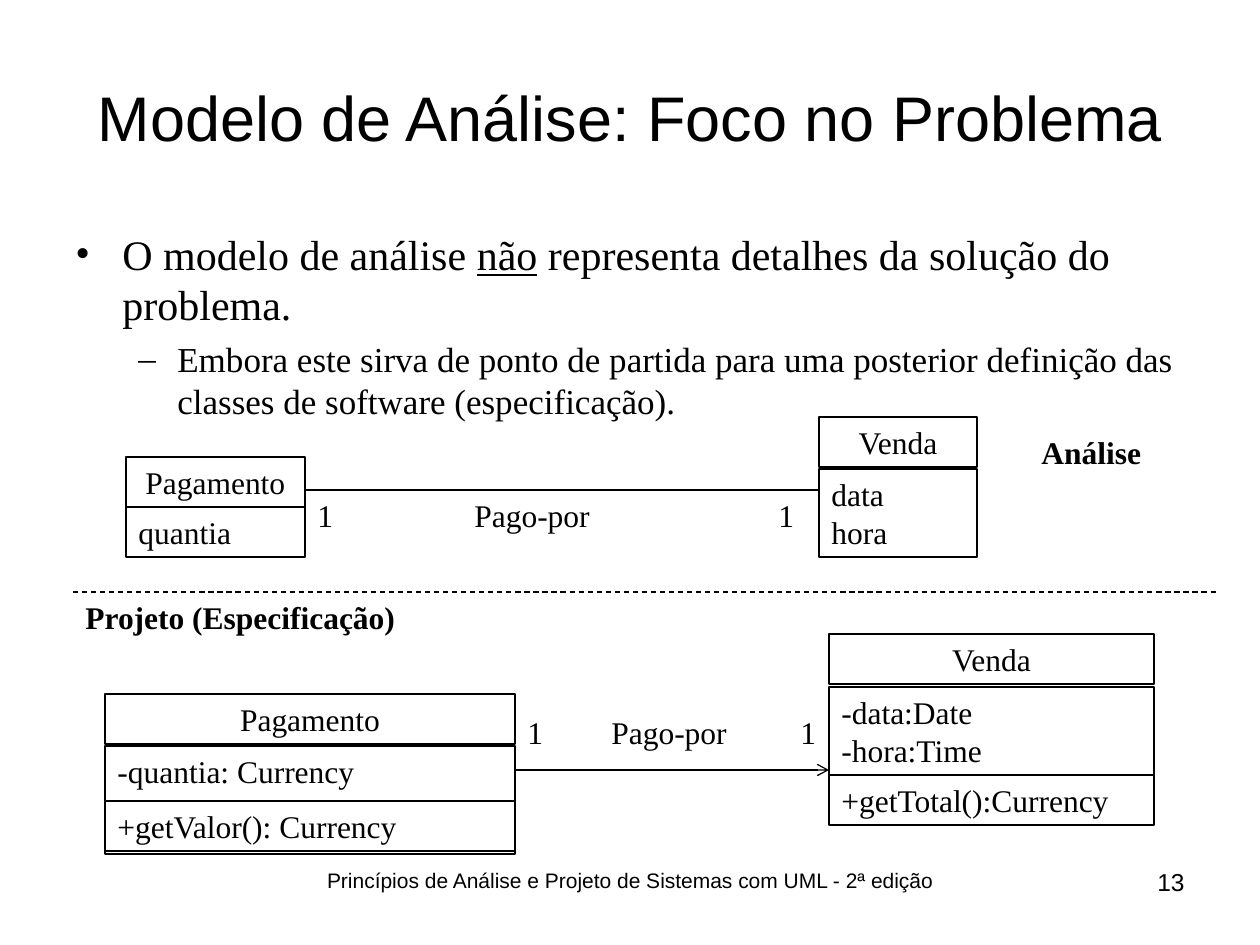
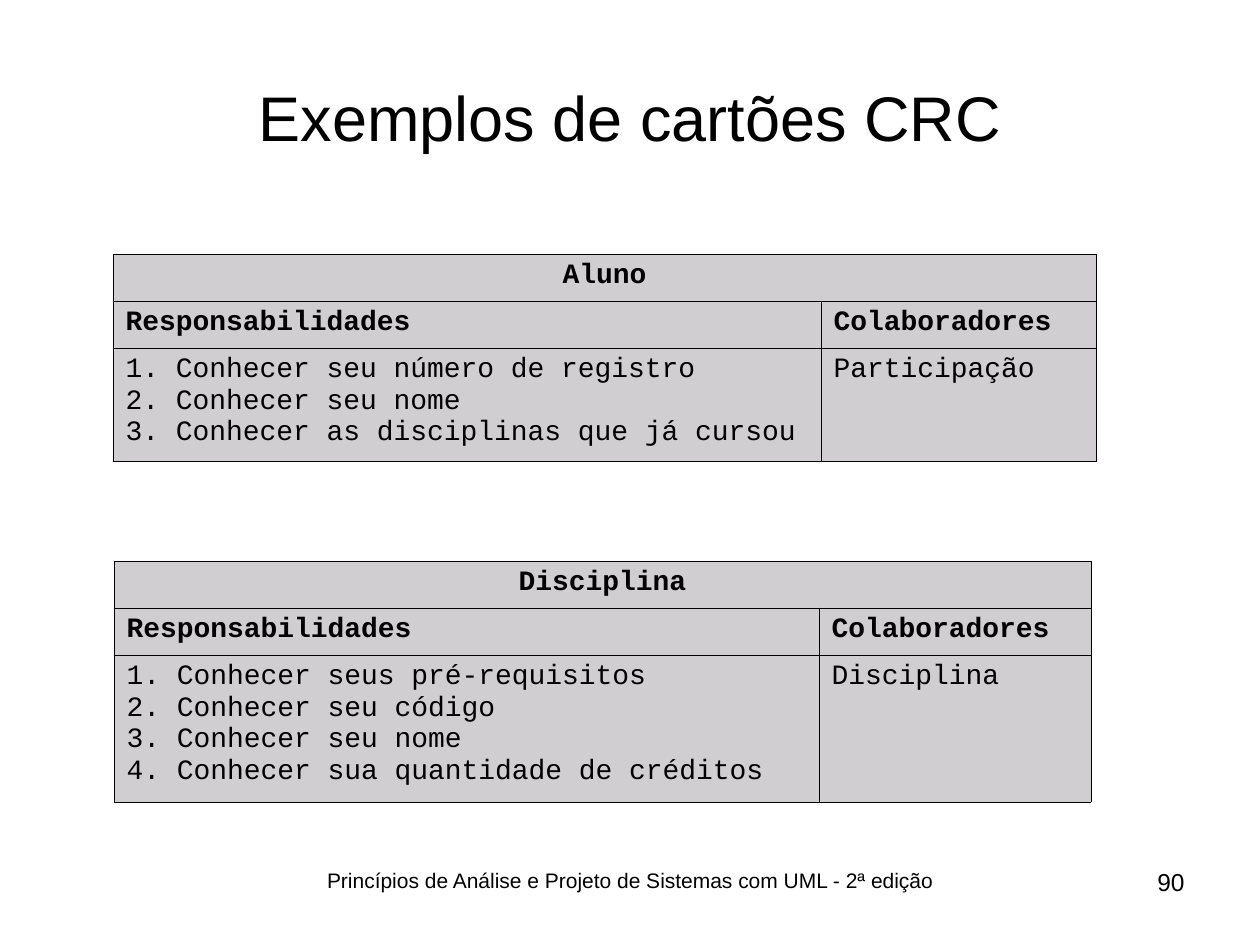
from lxml.etree import SubElement
from pptx import Presentation
from pptx.dml.color import RGBColor
from pptx.enum.dml import MSO_LINE
from pptx.enum.shapes import MSO_CONNECTOR, MSO_SHAPE
from pptx.enum.text import MSO_ANCHOR, PP_ALIGN
from pptx.oxml.ns import qn
from pptx.util import Emu, Pt

BLACK, CARD_GREY = "000000", "D0CED0"
SANS, SERIF, MONO = "Arial", "Times New Roman", "Courier New"
FOOTER = "Princípios de Análise e Projeto de Sistemas com UML - 2ª edição"
ROW_HEIGHT = 50
TITLE_ONLY = 5


def px(length):
    return Emu(round(length * 914400 / 126))


def color(code):
    return RGBColor.from_string(code)


def write(paragraph, text, font=SERIF, size=18, bold=False, underline=False, align=PP_ALIGN.LEFT):
    paragraph.alignment = align
    for number, line in enumerate(text.split("\n")):
        if number:
            paragraph.add_line_break()
        run = paragraph.add_run()
        run.text = line
        run.font.name = font
        run.font.size = Pt(size)
        run.font.bold = bold
        run.font.underline = underline
        run.font.color.rgb = color(BLACK)


def label(slide, left, top, width, height, text, **style):
    frame = slide.shapes.add_textbox(px(left), px(top), px(width), px(height)).text_frame
    frame.word_wrap = True
    write(frame.paragraphs[0], text, **style)


def bullet(paragraph, mark, margin, hang):
    properties = paragraph._p.get_or_add_pPr()
    properties.set("marL", str(px(margin)))
    properties.set("indent", str(-px(hang)))
    SubElement(properties, qn("a:buFont"), typeface=SERIF)
    SubElement(properties, qn("a:buChar"), char=mark)


def rule(slide, left, top, right, dashed=False, arrow=False):
    line = slide.shapes.add_connector(MSO_CONNECTOR.STRAIGHT, px(left), px(top), px(right), px(top))
    line.line.color.rgb = color(BLACK)
    line.line.width = Pt(0.75)
    if dashed:
        line.line.dash_style = MSO_LINE.DASH
    if arrow:
        SubElement(line.line._get_or_add_ln(), qn("a:tailEnd"), type="arrow")
    SubElement(line._element.spPr, qn("a:effectLst"))


def framed_slide(deck, heading, number):
    slide = deck.slides.add_slide(deck.slide_layouts[TITLE_ONLY])
    title = slide.shapes.title
    title.left, title.top, title.width, title.height = px(63), px(38), px(1134), px(157)
    title.text_frame.vertical_anchor = MSO_ANCHOR.MIDDLE
    write(title.text_frame.paragraphs[0], heading, font=SANS, size=36, align=PP_ALIGN.CENTER)
    label(slide, 242, 861, 777, 66, FOOTER, font=SANS, size=12, align=PP_ALIGN.CENTER)
    label(slide, 1029, 861, 168, 66, number, font=SANS, size=14, align=PP_ALIGN.RIGHT)
    return slide


def statement(slide, left, top, width, height):
    frame = slide.shapes.add_textbox(px(left), px(top), px(width), px(height)).text_frame
    frame.word_wrap = True
    claim = frame.paragraphs[0]
    bullet(claim, "•", 47, 47)
    write(claim, "O modelo de análise ", size=24)
    write(claim, "não", size=24, underline=True)
    write(claim, " representa detalhes da solução do problema.", size=24)
    remark = frame.add_paragraph()
    remark.space_before = Pt(5)
    bullet(remark, "–", 102, 39)
    write(remark, "Embora este sirva de ponto de partida para uma posterior definição das "
                  "classes de software (especificação).", size=20)


def uml_class(slide, left, top, width, name, compartments):
    rows = [(0, ROW_HEIGHT, name, PP_ALIGN.CENTER)]
    rows += [(*compartment, PP_ALIGN.LEFT) for compartment in compartments]
    for offset, height, text, align in rows:
        box = slide.shapes.add_shape(MSO_SHAPE.RECTANGLE, px(left), px(top + offset), px(width), px(height))
        box.shadow.inherit = False
        box.fill.background()
        box.line.color.rgb = color(BLACK)
        box.line.width = Pt(0.75)
        box.text_frame.word_wrap = True
        box.text_frame.vertical_anchor = MSO_ANCHOR.TOP
        write(box.text_frame.paragraphs[0], text, align=align)


def association(slide, left, top, right, label_top, name_offset, end_offset, arrow=False):
    rule(slide, left, top, right, arrow=arrow)
    for offset, width, text in [(0, 42, "1"), (name_offset, 179, "Pago-por"), (end_offset, 42, "1")]:
        label(slide, left + offset, label_top, width, ROW_HEIGHT, text)


def analysis_model(slide, left, top):
    uml_class(slide, left + 693, top, 158, "Venda", [(52, 88, "data\nhora")])
    uml_class(slide, left, top + 40, 179, "Pagamento", [(50, ROW_HEIGHT, "quantia")])
    association(slide, left + 179, top + 73, left + 693, top + 73, 157, 461)
    label(slide, left + 903, top + 10, 189, ROW_HEIGHT, "Análise", bold=True)


def design_model(slide, left, top):
    rule(slide, left, top, left + 1145, dashed=True)
    label(slide, left, top, 504, ROW_HEIGHT, "Projeto (Especificação)", bold=True)
    uml_class(slide, left + 756, top + 42, 325, "Venda",
              [(53, 88, "-data:Date\n-hora:Time"), (141, ROW_HEIGHT, "+getTotal():Currency")])
    uml_class(slide, left + 32, top + 102, 410, "Pagamento",
              [(52, 108, "-quantia: Currency"), (107, ROW_HEIGHT, "+getValor(): Currency")])
    association(slide, left + 442, top + 178, left + 756, top + 115, 84, 273, arrow=True)


def fill_cell(cell, lines, **style):
    properties = cell._tc.get_or_add_tcPr()
    for side in ("a:lnL", "a:lnR", "a:lnT", "a:lnB"):
        border = SubElement(properties, qn(side), w=str(Pt(0.45)))
        SubElement(SubElement(border, qn("a:solidFill")), qn("a:srgbClr"), val=BLACK)
    cell.fill.solid()
    cell.fill.fore_color.rgb = color(CARD_GREY)
    for number, line in enumerate(lines):
        paragraph = cell.text_frame.add_paragraph() if number else cell.text_frame.paragraphs[0]
        write(paragraph, line, font=MONO, size=16, **style)


def crc_card(slide, left, top, widths, detail_height, name, duties, collaborator):
    heights = (47, 47, detail_height)
    card = slide.shapes.add_table(3, 2, px(left), px(top), px(sum(widths)), px(sum(heights))).table
    for column, width in zip(card.columns, widths):
        column.width = px(width)
    for row, height in zip(card.rows, heights):
        row.height = px(height)
    card.cell(0, 0).merge(card.cell(0, 1))
    fill_cell(card.cell(0, 0), [name], bold=True, align=PP_ALIGN.CENTER)
    fill_cell(card.cell(0, 1), [])
    for column, heading in enumerate(("Responsabilidades", "Colaboradores")):
        fill_cell(card.cell(1, column), [heading], bold=True)
    fill_cell(card.cell(2, 0), [f"{number}. {duty}" for number, duty in enumerate(duties, 1)])
    fill_cell(card.cell(2, 1), [collaborator])


def main():
    deck = Presentation()
    deck.slide_width, deck.slide_height = px(1260), px(945)

    models = framed_slide(deck, "Modelo de Análise: Foco no Problema", "13")
    statement(models, 63, 222, 1134, 624)
    analysis_model(models, 126, 417)
    design_model(models, 73, 592)

    cards = framed_slide(deck, "Exemplos de cartões CRC", "90")
    crc_card(cards, 113, 254, (708, 275), 113, "Aluno",
             ["Conhecer seu número de registro", "Conhecer seu nome",
              "Conhecer as disciplinas que já cursou"], "Participação")
    crc_card(cards, 114, 561, (705, 272), 147, "Disciplina",
             ["Conhecer seus pré-requisitos", "Conhecer seu código", "Conhecer seu nome",
              "Conhecer sua quantidade de créditos"], "Disciplina")

    deck.save("out.pptx")


if __name__ == "__main__":
    main()
